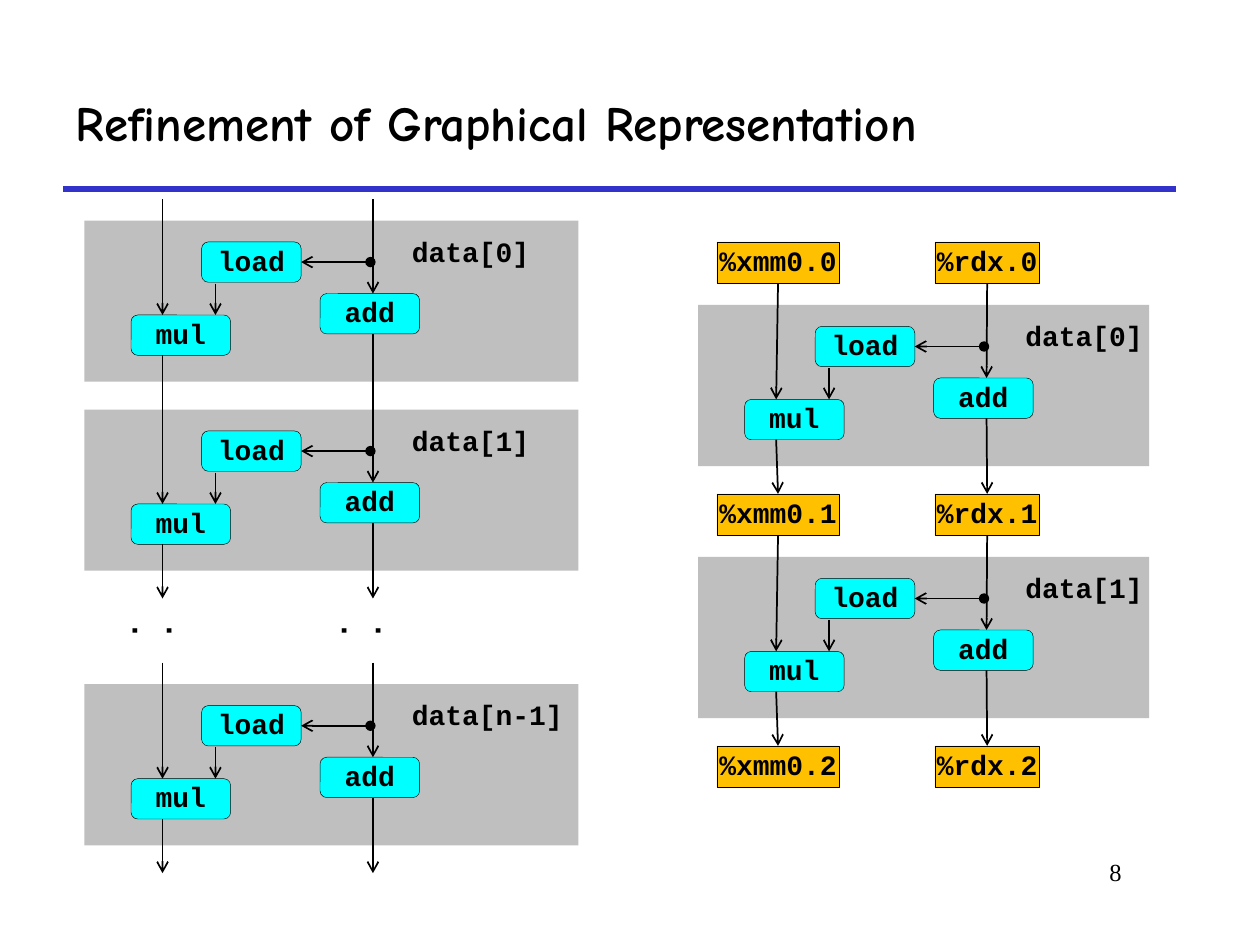
from lxml import etree
from pptx import Presentation
from pptx.dml.color import RGBColor
from pptx.enum import shapes, text
from pptx.oxml import ns
from pptx.util import Inches, Pt

# Content
TITLE = "Refinement of Graphical Representation"
PAGE = "8"
LEFT_BLOCKS = [("data[0]", 1.75, False), ("data[1]", 3.25, True),
               ("data[n-1]", 5.43, True)]  # label, top, arrows leaving the block
RIGHT_BLOCKS = ["data[0]", "data[1]"]
REGISTERS = [("%xmm0", 5.69, 0.97), ("%rdx", 7.42, 0.83)]  # name, left, width
NODES = {"load": (0.93, 0.17), "mul": (0.37, 0.75), "add": (1.87, 0.58)}

# Layout, in inches
LEFT_X, LEFT_W = 0.67, 3.92
RIGHT_X, RIGHT_W = 5.54, 3.58
FIRST_ROW, ROW_STEP, REG_H = 1.92, 2, 0.33
BLOCK_H, NODE_W, NODE_H = 1.28, 0.79, 0.32
MUL_X, ADD_X = 0.62, 2.29  # the two vertical data paths within a block
ENTRY, EXIT = -0.17, 1.5

BLACK, GREY, CYAN, ORANGE, BLUE = "000000", "BFBFBF", "00FFFF", "FFC000", "3333CC"
CODE = "Courier New"

prs = Presentation()
prs.slide_width, prs.slide_height = Inches(10), Inches(7.5)
s = prs.slides.add_slide(prs.slide_layouts[5])


def color(value):
    return RGBColor.from_string(value)


def write(sp, content, size=16, font=CODE, bold=True, align=text.PP_ALIGN.LEFT,
          anchor=text.MSO_ANCHOR.TOP, margins=(0.1, 0.05), spacing=0.9):
    tf = sp.text_frame
    tf.text = content
    tf.word_wrap = True
    tf.vertical_anchor = anchor
    tf.margin_left = tf.margin_right = Inches(margins[0])
    tf.margin_top = tf.margin_bottom = Inches(margins[1])
    p = tf.paragraphs[0]
    p.alignment, p.line_spacing = align, spacing
    f = p.runs[0].font
    f.name, f.size, f.bold = font, Pt(size), bold
    f.color.rgb = color(BLACK)
    return tf


def text_box(x, y, w, h, content, **style):
    sp = s.shapes.add_textbox(*map(Inches, (x, y, w, h)))
    return write(sp, content, **style)


def box(x, y, w, h, fill, label=None, kind=shapes.MSO_SHAPE.RECTANGLE):
    sp = s.shapes.add_shape(kind, *map(Inches, (x, y, w, h)))
    sp.shadow.inherit = False
    sp.fill.solid()
    sp.fill.fore_color.rgb = color(fill)
    if label is None:
        sp.line.fill.background()
        return sp
    sp.line.color.rgb = color(BLACK)
    sp.line.width = Pt(0.25)
    write(sp, label, align=text.PP_ALIGN.CENTER,
          anchor=text.MSO_ANCHOR.MIDDLE, margins=(0, 0))
    return sp


def line(x1, y1, x2, y2, head=None, tail="arrow", stroke=BLACK, width=1):
    c = s.shapes.add_connector(shapes.MSO_CONNECTOR.STRAIGHT,
                               *map(Inches, (x1, y1, x2, y2)))
    c.line.color.rgb = color(stroke)
    c.line.width = Pt(width)
    ln = c.line._get_or_add_ln()
    for tag, end in (("a:headEnd", head), ("a:tailEnd", tail)):
        if end:
            etree.SubElement(ln, ns.qn(tag)).set("type", end)
    etree.SubElement(c._element.spPr, ns.qn("a:effectLst"))
    return c


def block(x, y, w, label, label_w=1.21, arrows_out=True, above=None, below=None):
    """Draw one iteration; above and below are the (mul, add) registers."""
    box(x, y, w, BLOCK_H, GREY)
    nodes = {name: box(x + dx, y + dy, NODE_W, NODE_H, CYAN, name,
                       shapes.MSO_SHAPE.ROUNDED_RECTANGLE)
             for name, (dx, dy) in NODES.items()}
    for i, (name, dx) in enumerate((("mul", MUL_X), ("add", ADD_X))):
        top = NODES[name][1]
        into = line(x + dx, y + ENTRY, x + dx, y + top)
        out = line(x + dx, y + top + NODE_H, x + dx, y + EXIT,
                   tail="arrow" if arrows_out else None)
        if above:
            into.begin_connect(above[i], 2)
        if below:
            out.end_connect(below[i], 0)
    line(x + 2.27, y + 0.33, x + 1.72, y + 0.33, head="oval").end_connect(nodes["load"], 3)
    line(x + 1.04, y + 0.5, x + 1.04, y + 0.75)
    text_box(x + 2.5, y + 0.09, label_w, 0.34, label)


# Title, rule and page number
title = s.shapes.title
title.left, title.top, title.width, title.height = map(Inches, (0.5, 0.5, 8.83, 1))
write(title, TITLE, size=28, font="Comic Neue", anchor=text.MSO_ANCHOR.MIDDLE)
line(0.5, 1.5, 9.33, 1.5, tail=None, stroke=BLUE, width=3)
text_box(7.58, 6.75, 1.42, 0.5, PAGE, size=14, font="Times New Roman", bold=False,
         align=text.PP_ALIGN.RIGHT, spacing=1.0)

# Right: iterations between rows of registers
rows = [[box(x, FIRST_ROW + i * ROW_STEP, w, REG_H, ORANGE, f"{name}.{i}")
         for name, x, w in REGISTERS] for i in range(len(RIGHT_BLOCKS) + 1)]
for i, label in enumerate(RIGHT_BLOCKS):
    block(RIGHT_X, FIRST_ROW + i * ROW_STEP + 0.5, RIGHT_W, label,
          above=rows[i], below=rows[i + 1])

# Left: chain of iterations, with dots for those left out
for label, y, arrows_out in LEFT_BLOCKS:
    block(LEFT_X, y, LEFT_W, label, 1.42 if len(label) > 7 else 1.21, arrows_out)
for x in (1.12, 2.78):
    tf = text_box(x, 4.83, 0.47, 0.47, "..", size=18, margins=(0.05, 0.1))
    tf.auto_size = text.MSO_AUTO_SIZE.SHAPE_TO_FIT_TEXT
    tf._txBody.bodyPr.set("vert", "eaVert")

prs.save("out.pptx")
